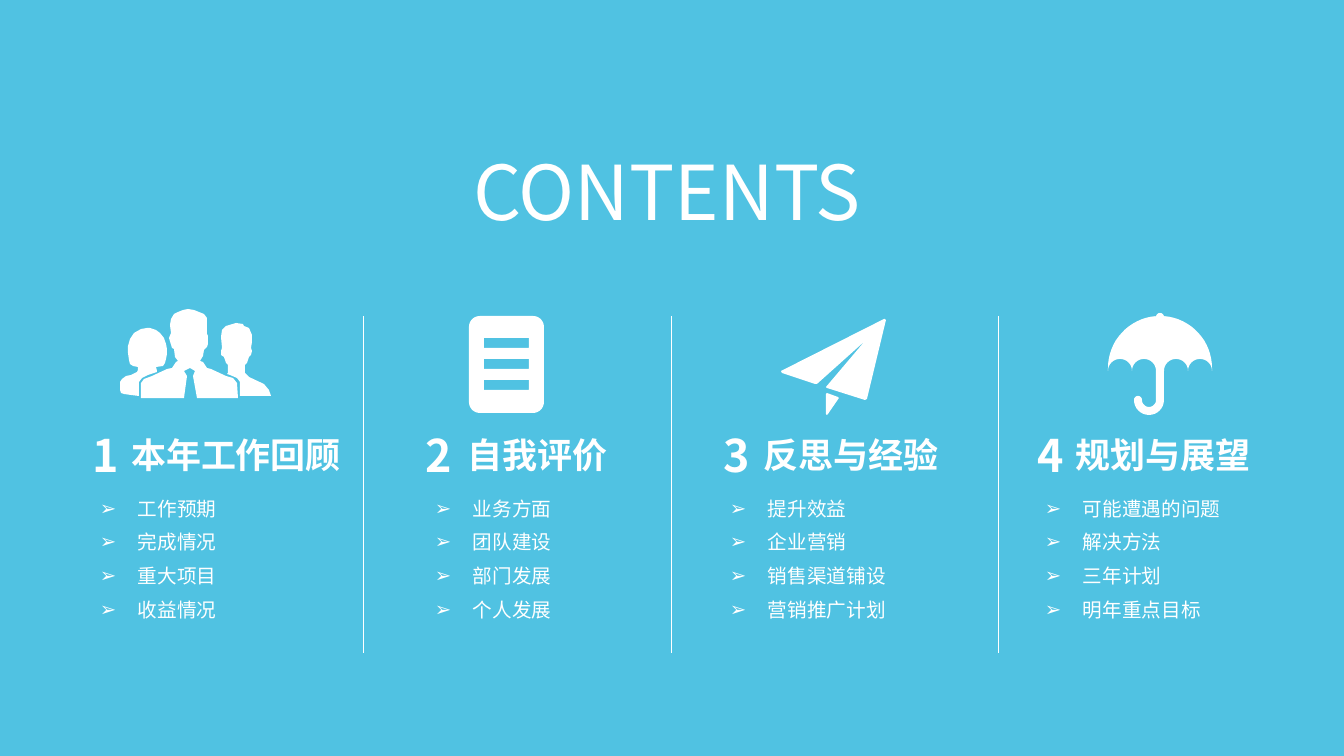
from dataclasses import dataclass
from math import cos, radians, sin

from lxml import etree
from pptx import Presentation
from pptx import util as u
from pptx.dml.color import RGBColor
from pptx.enum import shapes, text
from pptx.oxml import ns

PX = 914400 / 100.8
FINE = 10
WHITE = RGBColor(0xFF, 0xFF, 0xFF)
SKY = RGBColor(0x50, 0xC2, 0xE2)
FONT = "Noto Sans CJK SC"
LEFT, MID = text.PP_ALIGN.LEFT, text.PP_ALIGN.CENTER


def px(n):
    return u.Emu(round(n * PX))


def arc(cx, cy, r, start, end, steps=16):
    turns = [radians(start + (end - start) * i / steps) for i in range(steps + 1)]
    return [(cx + r * cos(t), cy + r * sin(t)) for t in turns]


def rect(x, y, w, h):
    return [(x, y), (x + w, y), (x + w, y + h), (x, y + h)]


WOMAN = [
    (31, 67), (37, 65), (37, 64), (36, 60), (43, 59), (45, 56), (46, 52), (47, 47),
    (47, 42), (46, 37), (44, 31), (40, 26), (36, 23), (30, 21), (27, 21), (21, 22),
    (14, 26), (10, 32), (8, 39), (8, 46), (9, 53), (10, 57), (13, 59), (18, 60),
    (18, 63), (17, 65), (15, 66), (11, 68), (6, 69), (2, 72), (0, 75), (0, 83),
    (1, 86), (4, 87), (11, 88), (19, 89), (19, 75), (22, 71), (28, 68),
]
MAN = [
    (149, 83), (144, 77), (129, 70), (125, 66), (125, 58), (127, 56), (129, 50),
    (131, 48), (132, 44), (131, 41), (132, 35), (132, 28), (129, 21), (124, 19),
    (123, 17), (116, 16), (106, 19), (102, 23), (101, 30), (102, 41), (101, 44),
    (101, 48), (104, 50), (106, 56), (108, 58), (108, 66), (107, 67), (110, 68),
    (117, 71), (120, 75), (120, 89), (151, 89),
]
CHIEF = [
    (106, 69), (91, 62), (87, 61), (83, 55), (80, 54), (83, 49), (84, 43), (87, 40),
    (88, 37), (88, 29), (87, 27), (87, 11), (84, 7), (79, 5), (74, 3), (68, 2),
    (63, 3), (58, 5), (54, 7), (51, 12), (50, 18), (51, 26), (49, 31), (52, 41),
    (54, 42), (55, 50), (58, 54), (56, 55), (52, 61), (47, 62), (32, 69), (24, 72),
    (21, 76), (21, 91), (64, 91), (67, 69), (64, 64), (70, 61), (75, 64), (73, 69),
    (77, 91), (118, 91), (117, 76), (113, 71),
]
TEAM = [WOMAN, MAN, CHIEF]

CORNERS = [(11, 11, 180), (64, 11, 270), (64, 86, 0), (11, 86, 90)]
PAGE = [
    [p for x, y, a in CORNERS for p in arc(x, y, 11, a, a + 90)],
    *[rect(15, y, 45, 10) for y in range(22, 65, 21)],
]

PLANE = [
    [(104, 0), (103, 0), (0, 52), (1, 54), (34, 65), (36, 65), (84, 22), (45, 68),
     (46, 69), (84, 81), (86, 80), (105, 1)],
    [(57, 78), (46, 74), (45, 75), (45, 95), (46, 96), (47, 95), (58, 79)],
]

CANOPY = arc(52, 55, 52, 0, -85) + arc(52, 4, 4, 0, -180) + arc(52, 55, 52, -95, -180)
HOOK = arc(41, 87, 7, 0, 180) + arc(30, 87, 4, 0, -180) + arc(41, 87, 15, 180, 0)
SCALLOPS = [arc(x, 58, 12, 180, 360) for x in (12, 36, 68, 92)]
BROLLY = [CANOPY + SCALLOPS[0] + SCALLOPS[1] + HOOK + SCALLOPS[2] + SCALLOPS[3]]


@dataclass
class Column:
    left: int
    span: int
    head: int
    width: int
    align: int
    items: int
    rule: int
    icon: tuple
    art: list
    title: str
    lines: list


COLUMNS = [
    Column(57, 98, 53, 252, MID, 33, 306, (63, 307), TEAM, "本年工作回顾",
           ["工作预期", "完成情况", "重大项目", "收益情况"]),
    Column(410, 57, 48, 190, LEFT, 15, 261, (59, 316), PAGE, "自我评价",
           ["业务方面", "团队建设", "部门发展", "个人发展"]),
    Column(688, 98, 66, 218, LEFT, 32, 310, (93, 319), PLANE, "反思与经验",
           ["提升效益", "企业营销", "销售渠道铺设", "营销推广计划"]),
    Column(1002, 98, 64, 228, LEFT, 33, 0, (106, 313), BROLLY, "规划与展望",
           ["可能遭遇的问题", "解决方法", "三年计划", "明年重点目标"]),
]


def label(slide, box, words, size, align=LEFT, bold=False, bullet=False):
    frame = slide.shapes.add_textbox(*map(px, box)).text_frame
    frame.word_wrap = not bullet
    frame.auto_size = text.MSO_AUTO_SIZE.SHAPE_TO_FIT_TEXT
    para = frame.paragraphs[0]
    para.text = words
    para.alignment = align
    props = para._p.get_or_add_pPr()
    if bullet:
        props.set("marL", str(px(38)))
        props.set("indent", str(-px(38)))
        etree.SubElement(props, ns.qn("a:buFont")).set("typeface", "Arial")
        etree.SubElement(props, ns.qn("a:buChar")).set("char", "➢")
    font = para.font
    font.name, font.size, font.bold = FONT, u.Pt(size), bold
    font.color.rgb = WHITE
    east = etree.SubElement(props.find(ns.qn("a:defRPr")), ns.qn("a:ea"))
    east.set("typeface", FONT)


def paint(shape, color):
    shape.shadow.inherit = False
    shape.fill.solid()
    shape.fill.fore_color.rgb = color
    shape.line.fill.background()


def icon(slide, x, y, paths):
    pen = None
    for path in paths:
        first, *rest = [(round(a * FINE), round(b * FINE)) for a, b in path]
        if pen is None:
            pen = slide.shapes.build_freeform(*first, scale=PX / FINE)
        else:
            pen.move_to(*first)
        pen.add_line_segments(rest, close=True)
    paint(pen.convert_to_shape(px(x), px(y)), WHITE)


def divider(slide, x, top, bottom):
    line = slide.shapes.add_connector(
        shapes.MSO_CONNECTOR.STRAIGHT, px(x), px(top), px(x), px(bottom))
    line.line.color.rgb = WHITE
    line.line.width = u.Pt(0.5)
    etree.SubElement(line._element.spPr, ns.qn("a:effectLst"))


def section(slide, num, col):
    x = col.left
    label(slide, (x, 423, col.span, 65), str(num), 32, MID, True)
    label(slide, (x + col.head, 429, col.width, 52), col.title, 25, col.align, True)
    for i, words in enumerate(col.lines):
        box = (x + col.items, 492 + 101 * i // 3, 58 + 20 * len(words), 34)
        label(slide, box, words, 14, bullet=True)
    dx, y = col.icon
    icon(slide, x + dx, y, col.art)
    if col.rule:
        divider(slide, x + col.rule, 316, 653)


def main():
    deck = Presentation()
    deck.slide_width, deck.slide_height = px(1344), px(756)
    slide = deck.slides.add_slide(deck.slide_layouts[6])
    back = slide.shapes.add_shape(
        shapes.MSO_SHAPE.RECTANGLE, 0, 0, deck.slide_width, deck.slide_height)
    paint(back, SKY)
    label(slide, (333, 140, 668, 102), "CONTENTS", 54, MID)
    for num, col in enumerate(COLUMNS, 1):
        section(slide, num, col)
    deck.save("out.pptx")


if __name__ == "__main__":
    main()
